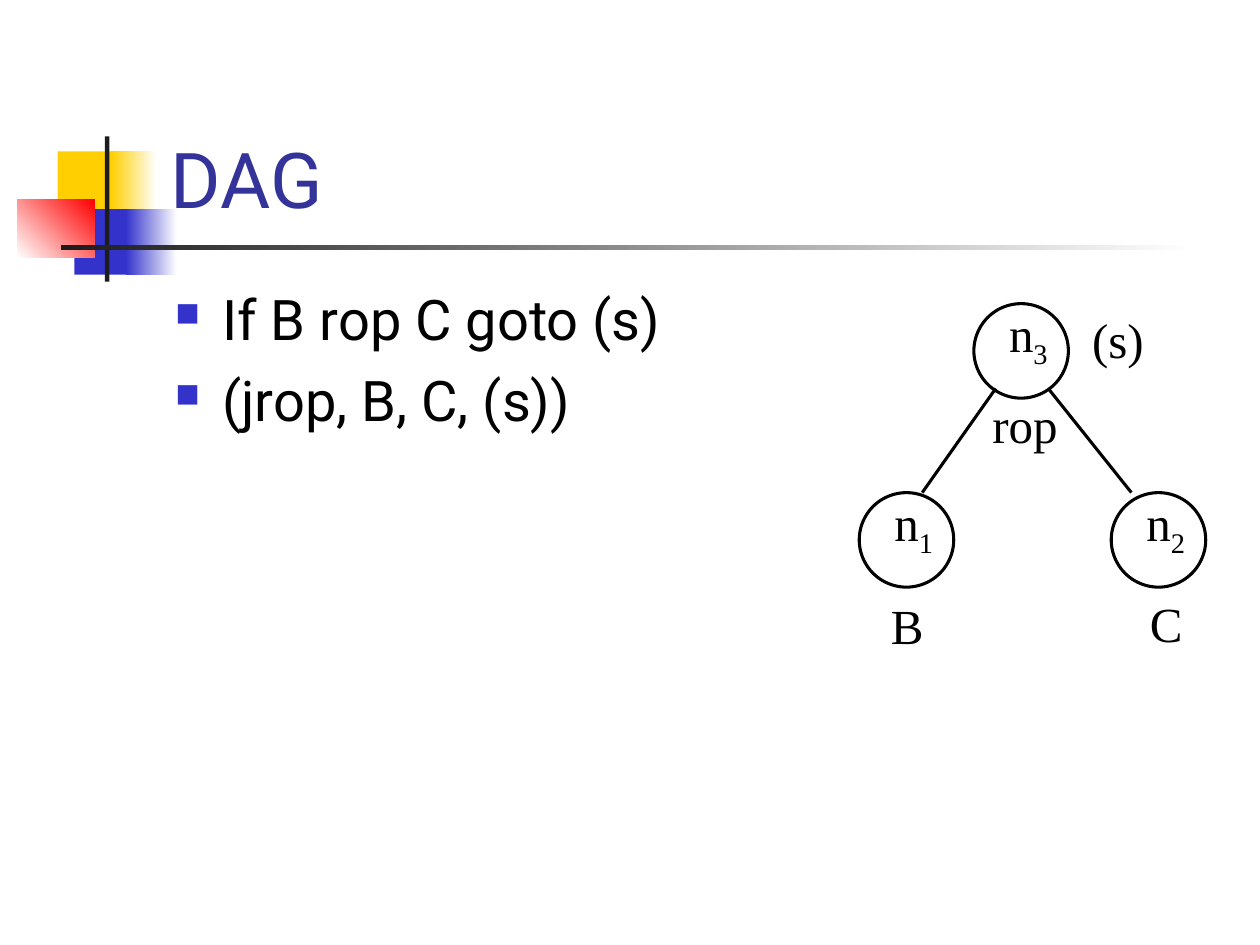
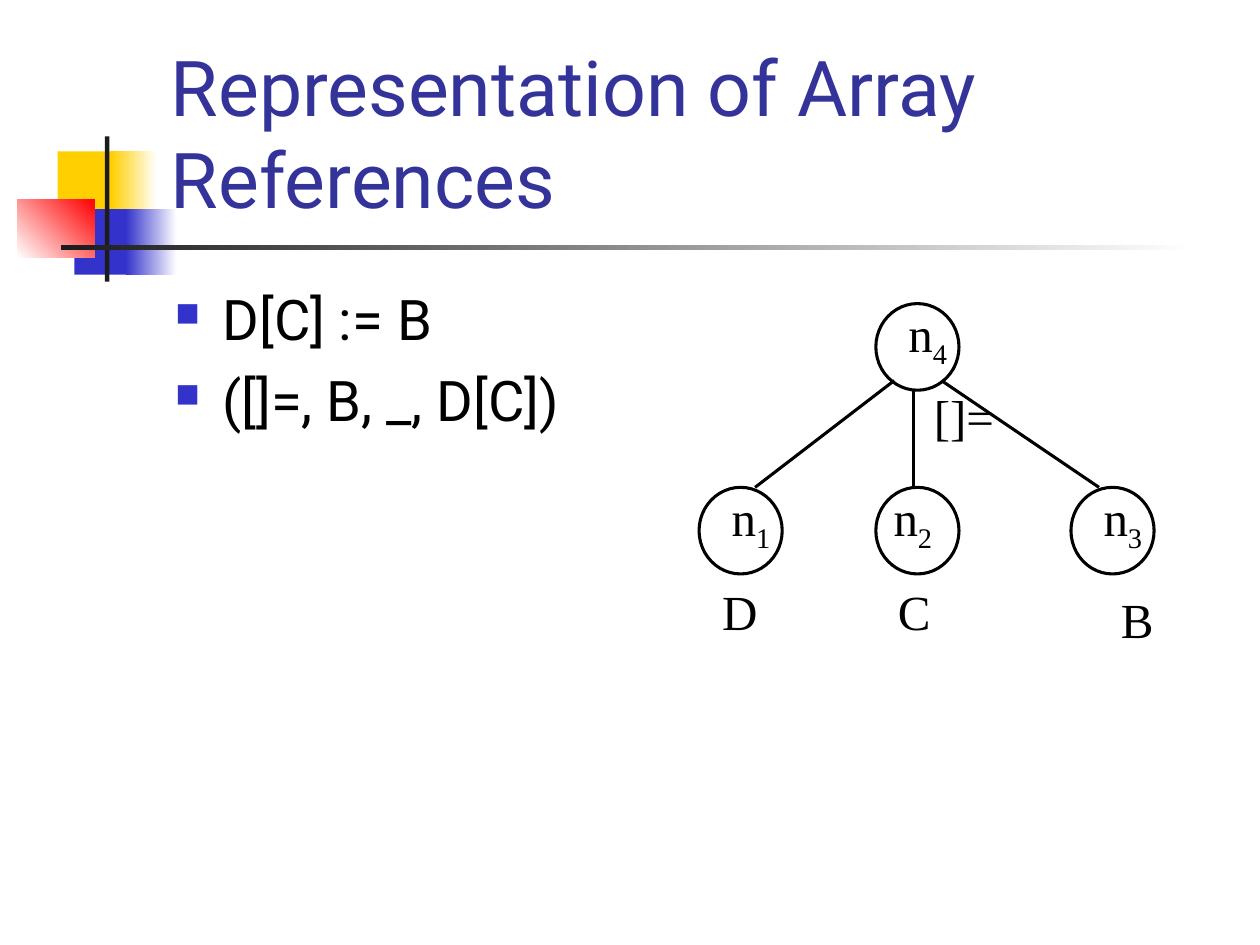
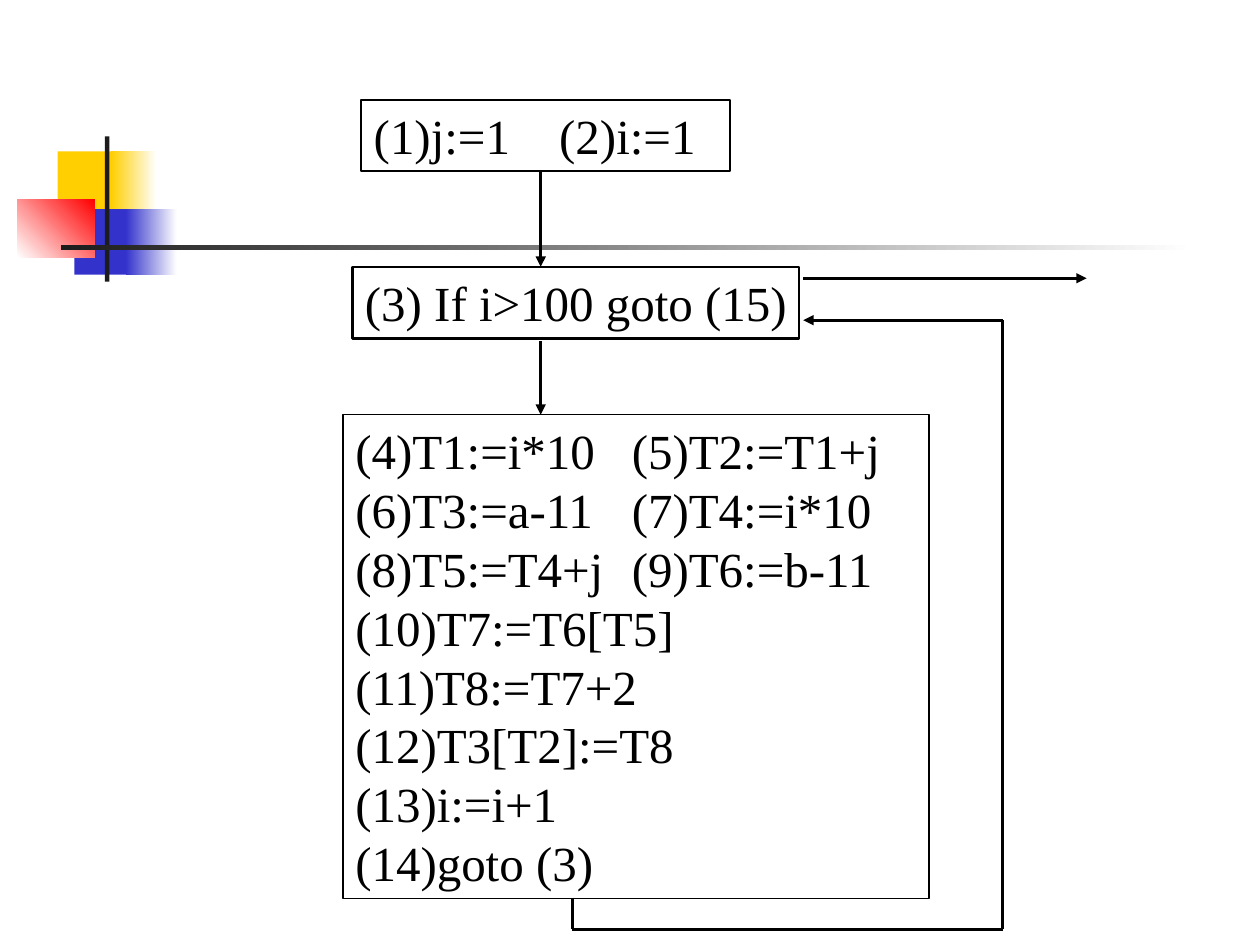
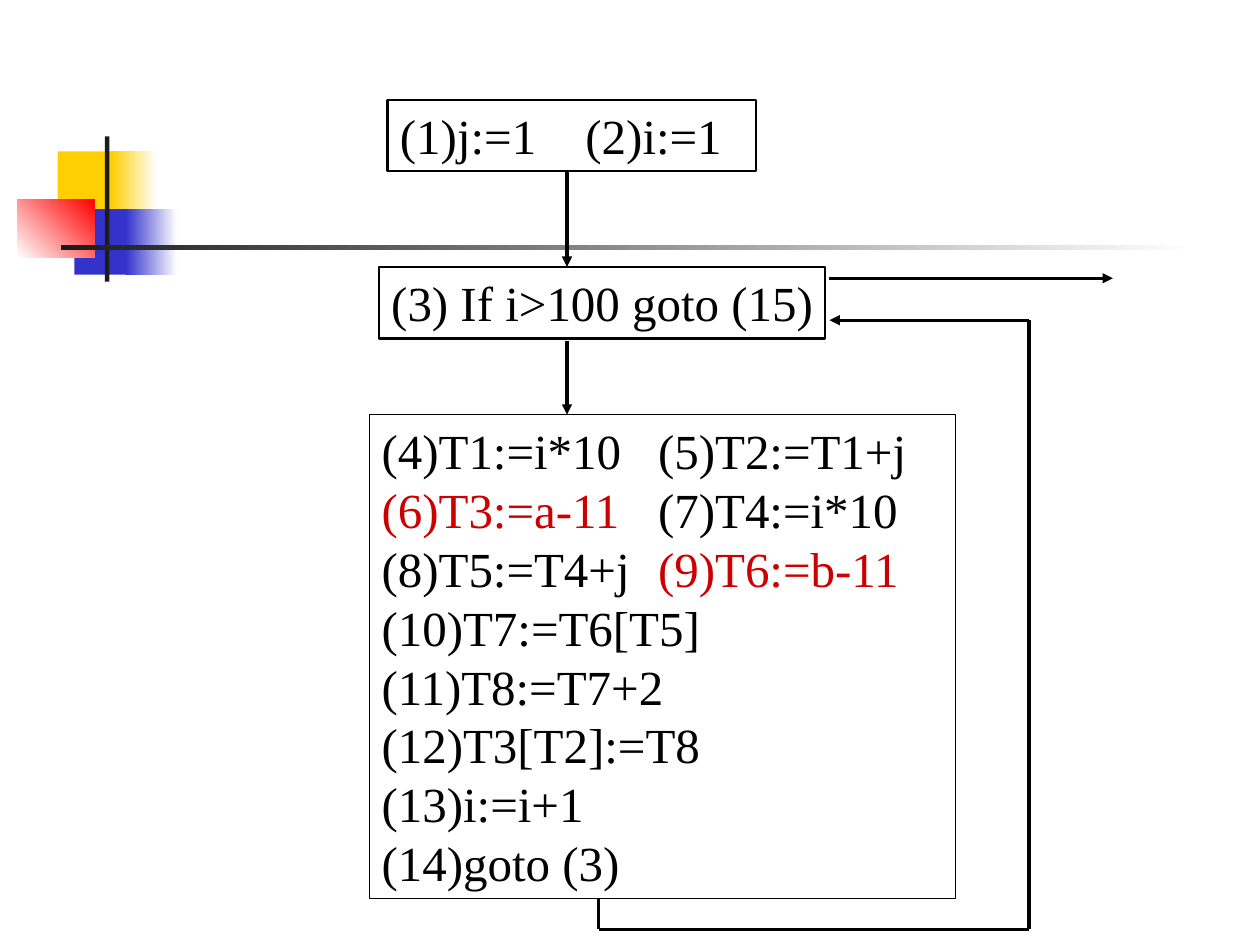
"""Builds four slides on DAG representation and a loop flow graph."""

from lxml import etree
from pptx import Presentation
from pptx import util as u
from pptx.dml.color import RGBColor
from pptx.enum import shapes, text
from pptx.oxml import ns

COLORS = {
    "white": "FFFFFF", "black": "000000", "yellow": "FFCF01", "blue": "3333CC",
    "red": "FF0000", "rule": "1C1C1C", "title": "333399", "hoisted": "CC0000",
}
RGB = {name: RGBColor.from_string(value) for name, value in COLORS.items()}
SANS, SERIF = "Roboto", "Times New Roman"


def write(shape, lines, size=28, font=SERIF, color="black", wrap=False,
          anchor=text.MSO_ANCHOR.TOP, before=0, bullet=None, stop=None, marked=()):
    """Fill a shape with lines, each a tuple of pieces; "_" before a piece makes it a subscript."""
    frame = shape.text_frame
    frame.word_wrap = wrap
    frame.vertical_anchor = anchor
    for number, pieces in enumerate(lines):
        paragraph = frame.paragraphs[0] if number == 0 else frame.add_paragraph()
        props = paragraph._p.get_or_add_pPr()
        if bullet:
            props.set("marL", str(u.Pt(27)))
            props.set("indent", str(-u.Pt(27)))
            tint = etree.SubElement(props, ns.qn("a:buClr"))
            etree.SubElement(tint, ns.qn("a:srgbClr"), val=COLORS["blue"])
            etree.SubElement(props, ns.qn("a:buSzPct"), val="60000")
            etree.SubElement(props, ns.qn("a:buChar"), char=bullet)
        if stop:
            tabs = etree.SubElement(props, ns.qn("a:tabLst"))
            etree.SubElement(tabs, ns.qn("a:tab"), pos=str(u.Pt(stop)), algn="l")
        paragraph.alignment = text.PP_ALIGN.LEFT
        paragraph.line_spacing = u.Pt(size * 1.2)
        paragraph.space_before = u.Pt(before if number else 0)
        for place, piece in enumerate(pieces):
            run = paragraph.add_run()
            subscript = piece.startswith("_")
            run.text = piece[1:] if subscript else ("\t" if place else "") + piece
            run.font.size = u.Pt(size)
            run.font.name = font
            run.font.color.rgb = RGB["hoisted" if piece in marked else color]
            if subscript:
                run._r.get_or_add_rPr().set("baseline", "-25000")


def connect(slide, start, end, arrow=False):
    """Draw a straight line between two points, with an optional arrowhead at its end."""
    line = slide.shapes.add_connector(
        shapes.MSO_CONNECTOR.STRAIGHT, *[u.Pt(value) for value in (*start, *end)])
    line.line.color.rgb = RGB["black"]
    line.line.width = u.Pt(1.75)
    if arrow:
        etree.SubElement(line.line._get_or_add_ln(), ns.qn("a:tailEnd"), type="triangle")
    etree.SubElement(line._element.spPr, ns.qn("a:effectLst"))


deck = Presentation()
deck.slide_width, deck.slide_height = u.Pt(720), u.Pt(540)

ornaments = [
    ((33, 86.5, 34.5, 37.5), ("yellow",), 0),
    ((63.5, 86.5, 26, 37.5), ("yellow", "white"), 0),
    ((42.5, 119.5, 33, 37.5), ("blue",), 0),
    ((72, 119.5, 29, 37.5), ("blue", "white"), 0),
    ((10, 113.75, 44, 33.25), ("white", "red"), 45),
    ((60, 78, 2.5, 83), ("rule",), 0),
    ((34.75, 140.25, 648, 2.5), ("rule", "white"), 0),
]
pages = []
for _ in range(4):
    slide = deck.slides.add_slide(deck.slide_layouts[6])
    for bounds, tones, angle in ornaments:
        ornament = slide.shapes.add_shape(
            shapes.MSO_SHAPE.RECTANGLE, *[u.Pt(value) for value in bounds])
        ornament.shadow.inherit = False
        ornament.line.fill.background()
        if len(tones) == 1:
            ornament.fill.solid()
            ornament.fill.fore_color.rgb = RGB[tones[0]]
        else:
            ornament.fill.gradient()
            ornament.fill.gradient_angle = angle
            for gradient_stop, tone in zip(ornament.fill.gradient_stops, tones):
                gradient_stop.color.rgb = RGB[tone]
    pages.append(slide)

trees = [
    {
        "title": "DAG",
        "points": ["If B rop C goto (s)", "(jrop, B, C, (s))"],
        "points_width": 612,
        "node_size": (54, 54),
        "nodes": [("1", 491, 281.5, 13), ("2", 635, 281.5, 13), ("3", 556.5, 173.5, 13)],
        "edges": [((569, 222), (527, 281.5)), ((599, 222), (646.5, 281.5))],
        "labels": [("B", 502, 337, 33), ("C", 650, 335.5, 33),
                   ("(s)", 617, 173.5, 44), ("rop", 560, 222, 52)],
    },
    {
        "title": "Representation of Array References",
        "points": ["D[C] := B", "([]=, B, _, D[C])"],
        "points_width": 289.5,
        "node_size": (47.5, 49.5),
        "nodes": [("1", 399.5, 278.5, 11.5), ("2", 500.5, 278.5, 3),
                  ("3", 612, 278.5, 11.5), ("4", 500.5, 173.5, 11.5)],
        "edges": [((511, 217.5), (431.5, 278.5)), ((522, 223), (522, 278.5)),
                  ((538, 217.5), (628, 278.5))],
        "labels": [("D", 405.5, 328.5, 34.5), ("C", 506, 329, 33),
                   ("B", 633.5, 333.5, 33), ("[]=", 526.5, 217.5, 49)],
    },
]
for slide, tree in zip(pages[:2], trees):
    title = slide.shapes.add_textbox(u.Pt(90.5), u.Pt(16.5), u.Pt(613.5), u.Pt(115))
    write(title, [(tree["title"],)], size=44, font=SANS, color="title", wrap=True,
          anchor=text.MSO_ANCHOR.BOTTOM)
    points = slide.shapes.add_textbox(
        u.Pt(93), u.Pt(159), u.Pt(tree["points_width"]), u.Pt(324))
    write(points, [(point,) for point in tree["points"]], size=32, font=SANS, wrap=True,
          before=8, bullet="■")
    for index, left, top, inset in tree["nodes"]:
        node = slide.shapes.add_shape(
            shapes.MSO_SHAPE.OVAL, u.Pt(left), u.Pt(top),
            *[u.Pt(value) for value in tree["node_size"]])
        node.shadow.inherit = False
        node.fill.solid()
        node.fill.fore_color.rgb = RGB["white"]
        node.line.color.rgb = RGB["black"]
        node.line.width = u.Pt(1.75)
        node_name = slide.shapes.add_textbox(
            u.Pt(left + inset), u.Pt(top + 1), u.Pt(40), u.Pt(45))
        write(node_name, [("n", "_" + index)])
    for start, end in tree["edges"]:
        connect(slide, start, end)
    for label, left, top, width in tree["labels"]:
        operand = slide.shapes.add_textbox(u.Pt(left), u.Pt(top), u.Pt(width), u.Pt(41))
        write(operand, [(label,)])

blocks = [
    ((206.5, 57, 210.5, 41), 1.25, 106, [("(1)j:=1", "(2)i:=1")]),
    ((201.5, 152.5, 255, 41), 1.25, None, [("(3) If i>100 goto (15)",)]),
    ((196, 237, 335, 276.5), 0.75, 158, [
        ("(4)T1:=i*10", "(5)T2:=T1+j"),
        ("(6)T3:=a-11", "(7)T4:=i*10"),
        ("(8)T5:=T4+j", "(9)T6:=b-11"),
        ("(10)T7:=T6[T5]",),
        ("(11)T8:=T7+2",),
        ("(12)T3[T2]:=T8",),
        ("(13)i:=i+1",),
        ("(14)goto (3)",),
    ]),
]
flows = [
    ((309, 98.5), (309, 152.5), True),
    ((309, 195), (309, 237), True),
    ((327, 513), (327, 531), False),
    ((327, 531), (573, 531), False),
    ((573, 531), (573, 183), False),
    ((573, 183), (459, 183), True),
    ((459, 159), (621, 159), True),
]
invariants = ("(6)T3:=a-11", "(9)T6:=b-11")
for slide, shift, marked in zip(pages[2:], (0, 15), ((), invariants)):
    for (left, top, width, height), outline, stop, statements in blocks:
        block = slide.shapes.add_shape(
            shapes.MSO_SHAPE.RECTANGLE, u.Pt(left + shift), u.Pt(top), u.Pt(width), u.Pt(height))
        block.shadow.inherit = False
        block.fill.background()
        block.line.color.rgb = RGB["black"]
        block.line.width = u.Pt(outline)
        write(block, statements, wrap=stop is not None, stop=stop, marked=marked)
    for (x1, y1), (x2, y2), arrow in flows:
        connect(slide, (x1 + shift, y1), (x2 + shift, y2), arrow)

deck.save("out.pptx")
